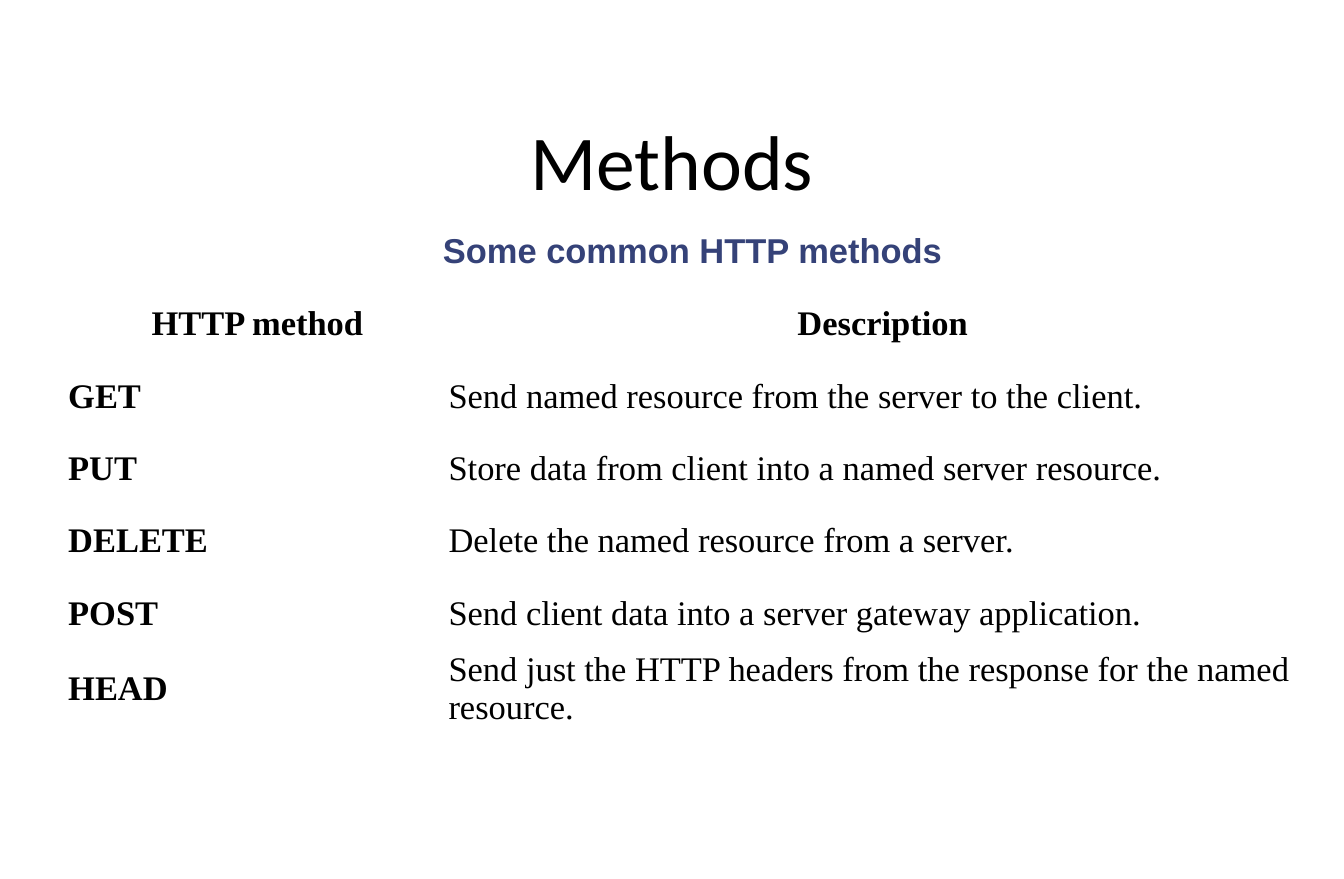
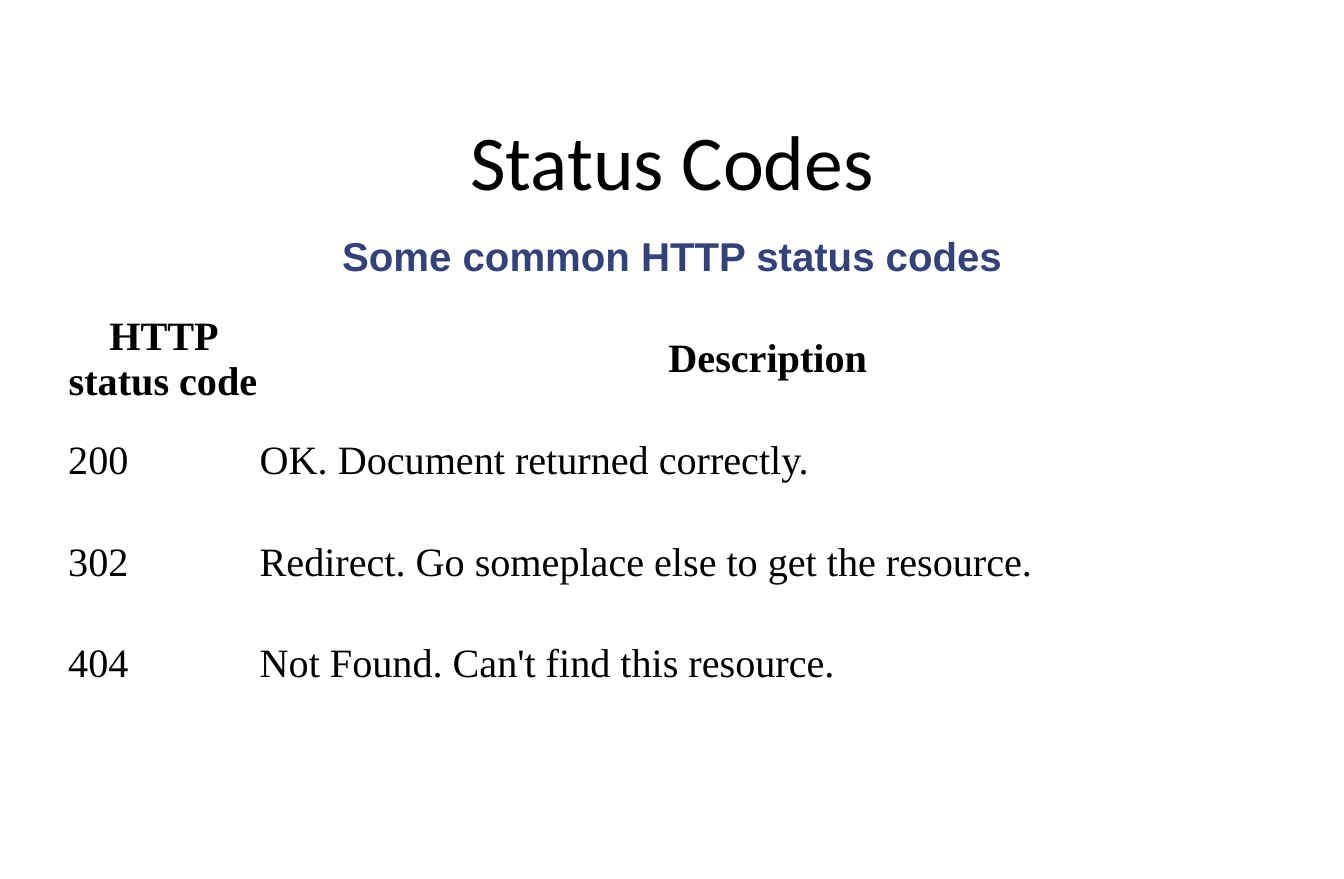
from pptx import Presentation
from pptx.dml.color import RGBColor
from pptx.enum.text import MSO_ANCHOR, PP_ALIGN
from pptx.util import Inches, Pt

BLACK = RGBColor(0x00, 0x00, 0x00)
BLUE = RGBColor(0x35, 0x42, 0x78)
LEFT, CENTER = PP_ALIGN.LEFT, PP_ALIGN.CENTER
MIDDLE = MSO_ANCHOR.MIDDLE
HEAD_FONT, BAND_FONT, BODY_FONT = "Calibri", "Arial", "Times New Roman"
TITLE_ONLY = 5


def write(frame, text, size, font=BODY_FONT, color=BLACK, bold=False,
          align=LEFT, pad=(0.01, 0.01)):
    """Put one formatted paragraph in a text frame."""
    frame.word_wrap = True
    frame.margin_left = frame.margin_right = Inches(pad[0])
    frame.margin_top = frame.margin_bottom = Inches(pad[1])
    frame.vertical_anchor = MIDDLE
    para = frame.paragraphs[0]
    para.alignment = align
    run = para.add_run()
    run.text = text
    run.font.size = Pt(size)
    run.font.name = font
    run.font.bold = bold
    run.font.color.rgb = color


class Deck:
    """Slides on a grid of 20 columns and 51 rows."""
    COLS, ROWS = 20, 51
    EDGE = 1

    def __init__(self):
        self.show = Presentation()
        self.show.slide_width = Inches(13)
        self.show.slide_height = Inches(8.5)
        self.slide = None

    def across(self, cols):
        return round(self.show.slide_width * cols / self.COLS)

    def down(self, rows):
        return round(self.show.slide_height * rows / self.ROWS)

    def start(self, title):
        """Add a slide with its title."""
        layout = self.show.slide_layouts[TITLE_ONLY]
        self.slide = self.show.slides.add_slide(layout)
        head = self.slide.shapes.title
        head.left, head.top = self.across(self.EDGE), self.down(5)
        head.width, head.height = self.across(18), self.down(8.5)
        write(head.text_frame, title, 54, font=HEAD_FONT, align=CENTER,
              pad=(0.12, 0.06))

    def table(self, band, heads, rows, top, widths, step, size, keys=False):
        """Add a plain table: a merged band, column heads, then the rows."""
        count = len(rows) + 2
        frame = self.slide.shapes.add_table(
            count, len(widths), self.across(self.EDGE), self.down(top),
            self.across(sum(widths)), self.down(step * count))
        grid = frame.table
        grid.first_row = grid.horz_banding = False
        for col, width in zip(grid.columns, widths):
            col.width = self.across(width)
        for row in grid.rows:
            row.height = self.down(step)
        for cell in grid.iter_cells():
            cell.fill.background()

        # Band over all columns
        grid.cell(0, 0).merge(grid.cell(0, len(widths) - 1))
        self.fill(grid.cell(0, 0), band, size, font=BAND_FONT, color=BLUE,
                  bold=True, align=CENTER)

        # Column heads and body
        for c, text in enumerate(heads):
            self.fill(grid.cell(1, c), text, size, bold=True, align=CENTER)
        for r, row in enumerate(rows, 2):
            for c, text in enumerate(row):
                self.fill(grid.cell(r, c), text, size, bold=keys and c == 0)

    def fill(self, cell, text, size, **style):
        """Write in a table cell, with its own thin margins."""
        write(cell.text_frame, text, size, **style)
        cell.margin_left = cell.margin_right = Inches(0.01)
        cell.margin_top = cell.margin_bottom = Inches(0.01)
        cell.vertical_anchor = MIDDLE


deck = Deck()

# Methods
deck.start("Methods")
deck.table(
    "Some common HTTP methods", ("HTTP method", "Description"),
    [("GET", "Send named resource from the server to the client."),
     ("PUT", "Store data from client into a named server resource."),
     ("DELETE", "Delete the named resource from a server."),
     ("POST", "Send client data into a server gateway application."),
     ("HEAD", "Send just the HTTP headers from the response for the named "
              "resource.")],
    top=12.5, widths=(5.66, 12.95), step=4.2, size=24, keys=True)

# Status codes
deck.start("Status Codes")
deck.table(
    "Some common HTTP status codes", ("HTTP status code", "Description"),
    [("200", "OK. Document returned correctly."),
     ("302", "Redirect. Go someplace else to get the resource."),
     ("404", "Not Found. Can't find this resource.")],
    top=12, widths=(2.85, 15.15), step=5.9, size=28)

deck.show.save("out.pptx")
